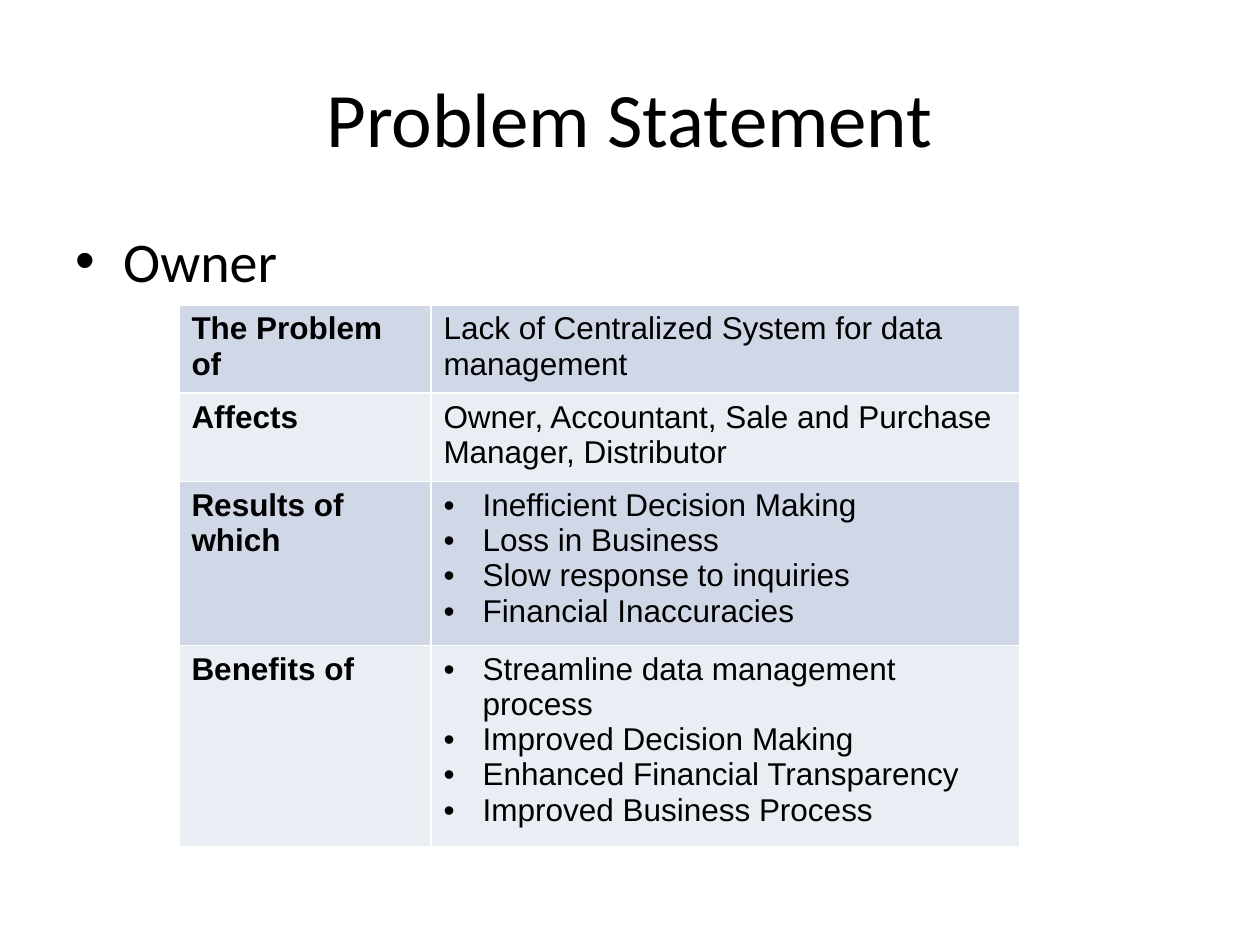
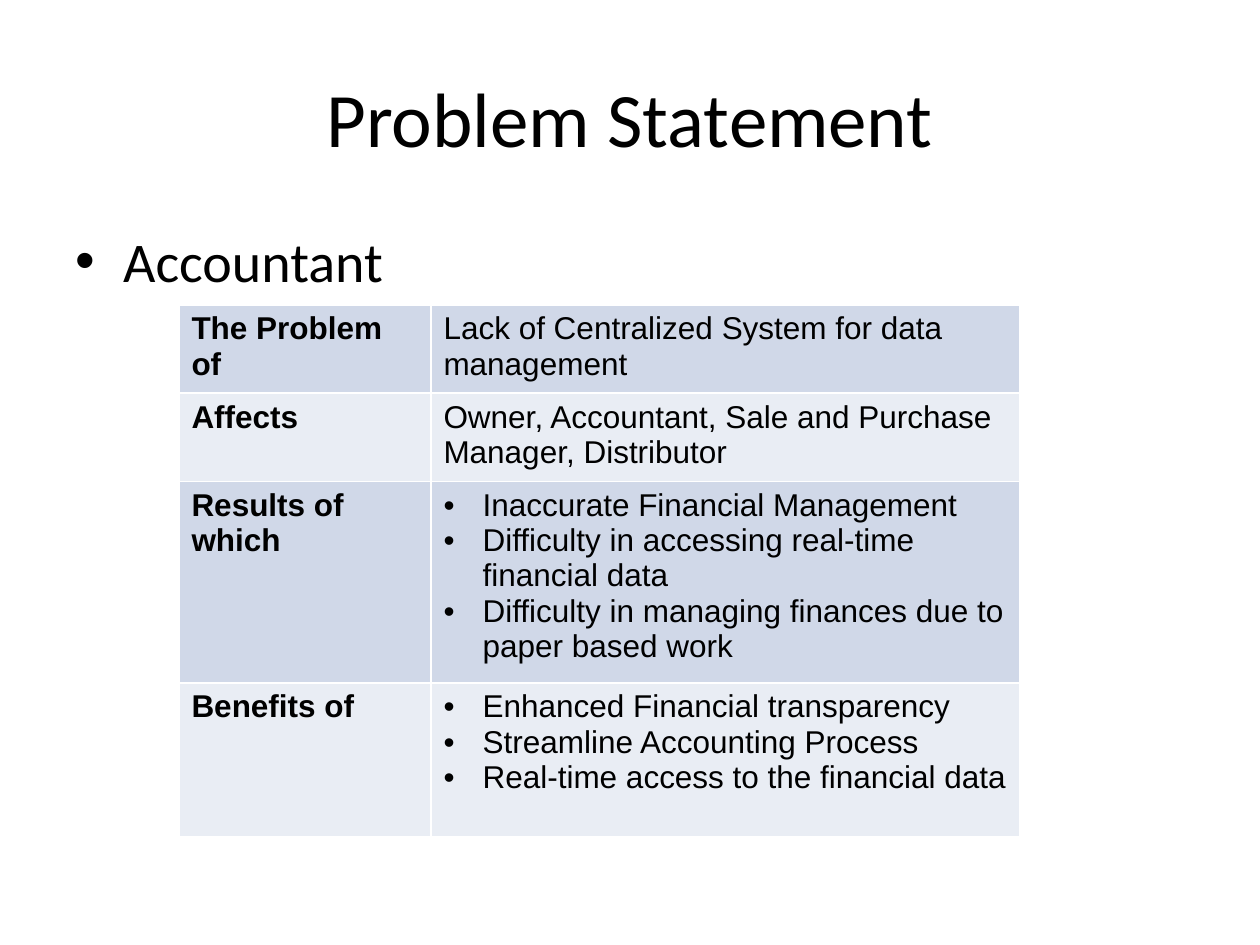
from lxml import etree
from pptx import Presentation
from pptx.dml.color import RGBColor
from pptx.enum.text import MSO_ANCHOR, PP_ALIGN
from pptx.oxml.ns import qn
from pptx.util import Inches, Pt

CENTER = PP_ALIGN.CENTER
LEFT = PP_ALIGN.LEFT
MIDDLE = MSO_ANCHOR.MIDDLE
TOP = MSO_ANCHOR.TOP

TITLE = "Problem Statement"
PROBLEM = "Lack of Centralized System for data management"
AFFECTED = "Owner, Accountant, Sale and Purchase Manager, Distributor"
STAKEHOLDERS = [
    {
        "role": "Owner",
        "results": [
            "Inefficient Decision Making",
            "Loss in Business",
            "Slow response to inquiries",
            "Financial Inaccuracies",
        ],
        "benefits": [
            "Streamline data management process",
            "Improved Decision Making",
            "Enhanced Financial Transparency",
            "Improved Business Process",
        ],
        "row_lines": (2, 2, 4, 5),
    },
    {
        "role": "Accountant",
        "results": [
            "Inaccurate Financial Management",
            "Difficulty in accessing real-time financial data",
            "Difficulty in managing finances due to paper based work",
        ],
        "benefits": [
            "Enhanced Financial transparency",
            "Streamline Accounting Process",
            "Real-time access to the financial data",
        ],
        "row_lines": (2, 2, 5, 4),
    },
]

COLORS = {
    "text": "000000",
    "border": "FFFFFF",
    "dark_band": "D0D8E8",
    "light_band": "E9EDF4",
}
BANDS = ("dark_band", "light_band")
HEADING_FONT, TABLE_FONT = "Calibri", "Arial"
TITLE_AREA = (0.5, 0.3, 9, 1.25)
ROLE_AREA = (0.5, 1.75, 9, 4.95)
TABLE_LEFT, TABLE_TOP = 1.42, 2.42
COLUMN_WIDTHS = (2, 4.67)
LINE_HEIGHT, ROW_PADDING = 0.28, 0.1
ROLE_INDENT, CELL_INDENT = 0.38, 0.31


def style(para, font_name, size, bold=False):
    para.font.name = font_name
    para.font.size = Pt(size)
    para.font.bold = bold
    para.font.color.rgb = RGBColor.from_string(COLORS["text"])


def add_bullet(para, indent):
    properties = para._p.get_or_add_pPr()
    properties.set("marL", str(Inches(indent)))
    properties.set("indent", str(-Inches(indent)))
    bullet_font = etree.Element(qn("a:buFont"), typeface="Arial")
    bullet = etree.Element(qn("a:buChar"), char="•")
    properties.insert(0, bullet_font)
    bullet_font.addnext(bullet)


def add_heading(page, text, area, size, align, anchor):
    box = page.shapes.add_textbox(*map(Inches, area))
    frame = box.text_frame
    frame.word_wrap = True
    frame.vertical_anchor = anchor
    para = frame.paragraphs[0]
    para.text = text
    para.alignment = align
    style(para, HEADING_FONT, size)
    return para


def add_borders(cell):
    properties = cell._tc.get_or_add_tcPr()
    for position, side in enumerate(("lnL", "lnR", "lnT", "lnB")):
        line = etree.Element(qn(f"a:{side}"), w=str(Pt(1)))
        fill = etree.SubElement(line, qn("a:solidFill"))
        etree.SubElement(fill, qn("a:srgbClr"), val=COLORS["border"])
        properties.insert(position, line)


def fill_cell(cell, content, band, bold):
    cell.fill.solid()
    cell.fill.fore_color.rgb = RGBColor.from_string(COLORS[band])
    add_borders(cell)
    bulleted = isinstance(content, list)
    cell.text = "\n".join(content) if bulleted else content
    for para in cell.text_frame.paragraphs:
        style(para, TABLE_FONT, 18, bold)
        if bulleted:
            add_bullet(para, CELL_INDENT)


def add_problem_table(page, stakeholder):
    rows = [
        ("The Problem of", PROBLEM),
        ("Affects", AFFECTED),
        ("Results of which", stakeholder["results"]),
        ("Benefits of", stakeholder["benefits"]),
    ]
    heights = [ROW_PADDING + LINE_HEIGHT * lines for lines in stakeholder["row_lines"]]
    area = (TABLE_LEFT, TABLE_TOP, sum(COLUMN_WIDTHS), sum(heights))
    table = page.shapes.add_table(len(rows), len(COLUMN_WIDTHS), *map(Inches, area)).table
    table.first_row = False
    table.horz_banding = False
    for column, width in zip(table.columns, COLUMN_WIDTHS):
        column.width = Inches(width)
    for row_index, (contents, height) in enumerate(zip(rows, heights)):
        table.rows[row_index].height = Inches(height)
        band = BANDS[row_index % len(BANDS)]
        for column_index, content in enumerate(contents):
            fill_cell(table.cell(row_index, column_index), content, band, column_index == 0)


def main():
    deck = Presentation()
    deck.slide_width, deck.slide_height = Inches(10), Inches(7.5)
    for stakeholder in STAKEHOLDERS:
        page = deck.slides.add_slide(deck.slide_layouts[6])
        add_heading(page, TITLE, TITLE_AREA, 44, CENTER, MIDDLE)
        role = add_heading(page, stakeholder["role"], ROLE_AREA, 32, LEFT, TOP)
        add_bullet(role, ROLE_INDENT)
        add_problem_table(page, stakeholder)
    deck.save("out.pptx")


if __name__ == "__main__":
    main()
